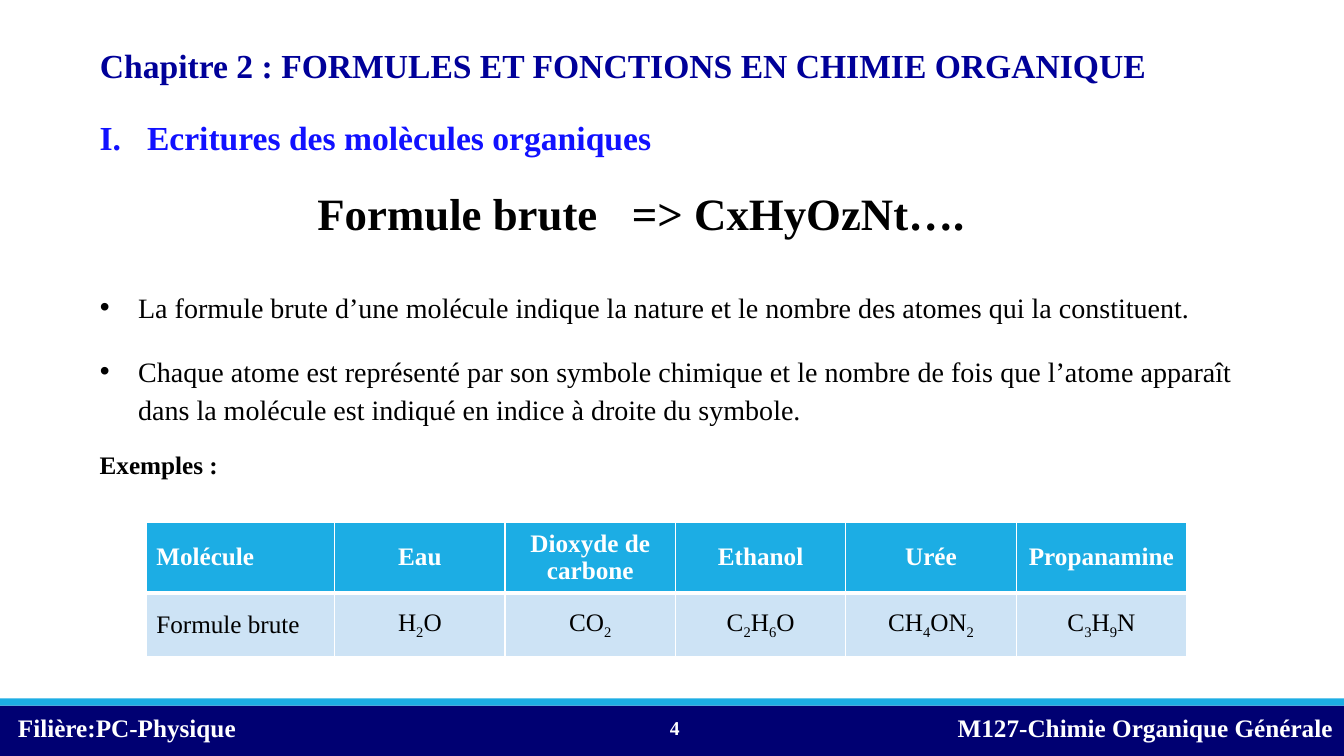
from dataclasses import dataclass
from itertools import groupby

from lxml.etree import SubElement
from pptx import Presentation
from pptx.dml.color import RGBColor
from pptx.enum.shapes import MSO_SHAPE
from pptx.enum.text import MSO_ANCHOR, MSO_AUTO_SIZE, PP_ALIGN
from pptx.oxml.ns import qn
from pptx.util import Inches, Pt


@dataclass(frozen=True)
class Theme:
    font: str = "Times New Roman"
    navy: str = "000072"
    cyan: str = "1CADE4"
    pale_blue: str = "CDE3F5"
    chapter: str = "000099"
    section: str = "1111FF"
    black: str = "000000"
    white: str = "FFFFFF"
    formula_size: int = 32
    heading_size: int = 24
    body_size: int = 20
    small_size: int = 18
    number_size: int = 14


class LessonSlide:
    def __init__(self, slide, theme):
        self.slide = slide
        self.theme = theme

    def style(self, paragraph, size, color, bold=True):
        for run in paragraph.runs:
            run.font.name = self.theme.font
            run.font.size = Pt(size)
            run.font.bold = bold
            run.font.color.rgb = RGBColor.from_string(color)

    def place(self, shape, left, top, width, height):
        shape.left, shape.top = Inches(left), Inches(top)
        shape.width, shape.height = Inches(width), Inches(height)
        frame = shape.text_frame
        frame.word_wrap = True
        frame.auto_size = MSO_AUTO_SIZE.NONE
        frame.vertical_anchor = MSO_ANCHOR.TOP
        return frame

    def band(self, top, height, color):
        bar = self.slide.shapes.add_shape(
            MSO_SHAPE.RECTANGLE, 0, Inches(top), Inches(13.33), Inches(height))
        bar.shadow.inherit = False
        bar.fill.solid()
        bar.fill.fore_color.rgb = RGBColor.from_string(color)
        bar.line.fill.background()

    def title(self, text, box):
        frame = self.place(self.slide.shapes.title, *box)
        frame.text = text
        frame.paragraphs[0].alignment = PP_ALIGN.LEFT
        self.style(frame.paragraphs[0], self.theme.heading_size, self.theme.chapter)

    def bullets(self, items, box):
        frame = self.place(self.slide.placeholders[1], *box)
        frame.text = "\n".join(items)
        for paragraph in frame.paragraphs:
            self.hang(paragraph, 0.38)
            paragraph.alignment = PP_ALIGN.JUSTIFY
            paragraph.line_spacing = 1.15
            paragraph.space_before = Pt(0)
            paragraph.space_after = Pt(18)
            self.style(paragraph, self.theme.body_size, self.theme.black, bold=False)

    def hang(self, paragraph, indent):
        properties = paragraph._p.get_or_add_pPr()
        properties.set("marL", str(Inches(indent)))
        properties.set("indent", str(-Inches(indent)))

    def label(self, text, box, size, color, align=PP_ALIGN.LEFT, tab=None):
        frame = self.place(self.slide.shapes.add_textbox(0, 0, 0, 0), *box)
        frame.text = text
        paragraph = frame.paragraphs[0]
        paragraph.alignment = align
        if tab:
            stops = SubElement(paragraph._p.get_or_add_pPr(), qn("a:tabLst"))
            SubElement(stops, qn("a:tab"), pos=str(Inches(tab)), algn="l")
        self.style(paragraph, size, color)
        return frame

    def border(self, cell, side, width):
        line = SubElement(cell._tc.get_or_add_tcPr(), qn(f"a:ln{side}"), w=str(Pt(width)))
        fill = SubElement(line, qn("a:solidFill"))
        SubElement(fill, qn("a:srgbClr"), val=self.theme.white)

    def formula(self, paragraph, text):
        """Write a formula with its digits as subscripts."""
        for is_index, letters in groupby(text, str.isdigit):
            run = paragraph.add_run()
            run.text = "".join(letters)
            if is_index:
                run.font._element.set("baseline", "-25000")

    def molecule_table(self, rows, left, top, widths, heights):
        table = self.slide.shapes.add_table(
            len(rows), len(widths), Inches(left), Inches(top),
            Inches(sum(widths)), Inches(sum(heights))).table
        for column, width in zip(table.columns, widths):
            column.width = Inches(width)
        for r, (row, height) in enumerate(zip(rows, heights)):
            table.rows[r].height = Inches(height)
            header = r == 0
            for c, text in enumerate(row):
                cell = table.cell(r, c)
                for side in "LRTB":
                    under_header = side == ("B" if header else "T")
                    self.border(cell, side, 3 if under_header else 1)
                cell.fill.solid()
                cell.fill.fore_color.rgb = RGBColor.from_string(
                    self.theme.cyan if header else self.theme.pale_blue)
                cell.vertical_anchor = MSO_ANCHOR.MIDDLE
                paragraph = cell.text_frame.paragraphs[0]
                paragraph.alignment = PP_ALIGN.CENTER if c else PP_ALIGN.LEFT
                self.formula(paragraph, text)
                self.style(paragraph, self.theme.small_size,
                           self.theme.white if header else self.theme.black, bold=header)


def main():
    theme = Theme()
    deck = Presentation()
    deck.slide_width, deck.slide_height = Inches(13.33), Inches(7.5)
    lesson = LessonSlide(deck.slides.add_slide(deck.slide_layouts[1]), theme)

    # Footer
    lesson.band(7, 0.5, theme.navy)
    lesson.band(6.93, 0.07, theme.cyan)
    lesson.label("Filière:PC-Physique", (0.08, 7.02, 4.44, 0.4), theme.small_size, theme.white)
    course = lesson.label("M127-Chimie Organique Générale", (9.4, 7.02, 3.93, 0.4),
                          theme.small_size, theme.white)
    course.margin_right = 0
    page = lesson.label("4", (6.49, 7.02, 0.35, 0.4), theme.number_size, theme.white,
                        PP_ALIGN.RIGHT)
    page.vertical_anchor = MSO_ANCHOR.MIDDLE

    # Headings
    lesson.title("Chapitre 2 : FORMULES ET FONCTIONS EN CHIMIE ORGANIQUE",
                 (0.89, 0.4, 10.76, 0.5))
    lesson.label("I.\tEcritures des molècules organiques", (0.89, 1.11, 6.87, 0.5),
                 theme.heading_size, theme.section, tab=0.47)
    lesson.label("Formule brute\t=> CxHyOzNt….", (3.05, 1.79, 6.87, 0.64),
                 theme.formula_size, theme.black, tab=3.12)

    # Definition
    lesson.bullets([
        "La formule brute d’une molécule indique la nature et le nombre des atomes "
        "qui la constituent.",
        "Chaque atome est représenté par son symbole chimique et le nombre de fois que "
        "l’atome apparaît dans la molécule est indiqué en indice à droite du symbole.",
    ], (0.89, 2.78, 11.43, 1.48))

    # Examples
    lesson.label("Exemples :", (0.89, 4.41, 6.87, 0.4), theme.small_size, theme.black)
    lesson.molecule_table([
        ["Molécule", "Eau", "Dioxyde de carbone", "Ethanol", "Urée", "Propanamine"],
        ["Formule brute", "H2O", "CO2", "C2H6O", "CH4ON2", "C3H9N"],
    ], 1.45, 5.18, [1.87] + [1.69] * 5, [0.7, 0.63])

    deck.save("out.pptx")


if __name__ == "__main__":
    main()
